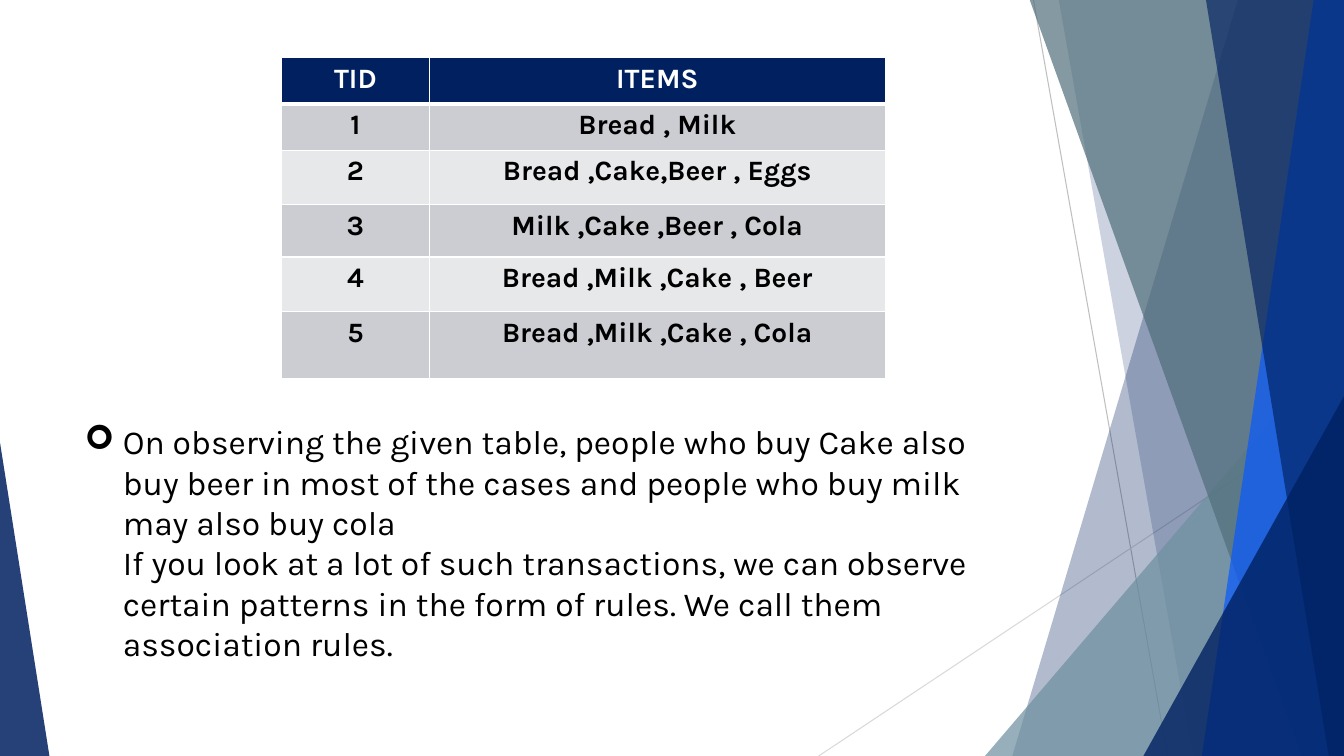
from pptx import Presentation
from pptx.dml.color import RGBColor
from pptx.enum.shapes import MSO_CONNECTOR, MSO_SHAPE
from pptx.enum.text import MSO_ANCHOR, PP_ALIGN
from pptx.oxml import parse_xml
from pptx.oxml.ns import nsdecls, qn
from pptx.util import Inches, Pt
from lxml.etree import SubElement

# Content
FONT = "Karla"
NAVY, WHITE, BLACK = "002060", "FFFFFF", "000000"
ROWS = [
    ("TID", "ITEMS"),
    ("1", "Bread , Milk"),
    ("2", "Bread ,Cake,Beer , Eggs"),
    ("3", "Milk ,Cake ,Beer , Cola"),
    ("4", "Bread ,Milk ,Cake , Beer"),
    ("5", "Bread ,Milk ,Cake , Cola"),
]
COL_WIDTHS = (1.47, 4.52)
ROW_HEIGHTS = (0.46, 0.46, 0.54, 0.52, 0.54, 0.67)
BAND_FILLS = ("E7E8EA", "CCCDD2")
NOTE = (
    "On observing the given table, people who buy Cake also buy beer in most "
    "of the cases and people who buy milk may also buy cola\v"
    "If you look at a lot of such transactions, we can observe certain patterns "
    "in the form of rules. We call them association rules."
)

# Decoration, back to front
RIGHT, TOP, BOTTOM = 13.33, -0.01, 7.5
LINES = [(10.25, 0, 11.58, BOTTOM, "BFBFBF"), (RIGHT, 4.03, 8.12, BOTTOM, "D9D9D9")]
DECOR = [  # band: top x, bottom x; triangle: left, top, width, apex
    ("band", (12.28, 10.04), NAVY, 30),
    ("band", (10.5, 11.83), NAVY, 20),
    ("triangle", (9.77, 3.33, 3.56, 1), "6E91A0", 72),
    ("band", (10.21, 12.91), "506E7A", 70),
    ("band", (13.03, 11.92), "0759FF", 70),
    ("band", (11.96, 13.18), NAVY, 65),
    ("triangle", (11.34, 3.93, 1.99, 1), NAVY, 80),
    ("triangle", (0, 4.39, 0.49, 0), NAVY, 85),
]


def rgb(value):
    return RGBColor.from_string(value)


def style_run(r, size, color, bold=False):
    r.font.name, r.font.size, r.font.bold = FONT, Pt(size), bold
    r.font.color.rgb = rgb(color)


def add_band(top_x, bottom_x):
    points = [(RIGHT, TOP), (RIGHT, BOTTOM), (bottom_x, BOTTOM)]
    builder = s.shapes.build_freeform(Inches(top_x), Inches(TOP))
    builder.add_line_segments([(Inches(x), Inches(y)) for x, y in points], close=True)
    return builder.convert_to_shape()


def add_triangle(left, top, width, apex):
    sp = s.shapes.add_shape(MSO_SHAPE.ISOSCELES_TRIANGLE, Inches(left), Inches(top),
                            Inches(width), Inches(BOTTOM - top))
    sp.adjustments[0] = apex
    return sp


def set_borders(cell, widths):
    tc_pr = cell._tc.get_or_add_tcPr()
    for i, (side, width) in enumerate(widths.items()):
        tc_pr.insert(i, parse_xml(
            f'<a:ln{side} {nsdecls("a")} w="{Pt(width)}"><a:solidFill>'
            f'<a:srgbClr val="{WHITE}"/></a:solidFill></a:ln{side}>'))


prs = Presentation()
prs.slide_width, prs.slide_height = Inches(13.33), Inches(7.5)
s = prs.slides.add_slide(prs.slide_layouts[6])

# Thin lines
for x1, y1, x2, y2, color in LINES:
    line = s.shapes.add_connector(MSO_CONNECTOR.STRAIGHT, Inches(x1), Inches(y1),
                                  Inches(x2), Inches(y2))
    line.line.color.rgb = rgb(color)
    line.line.width = Pt(0.75)
    SubElement(line._element.spPr, qn("a:effectLst"))

# Translucent bands and triangles
BUILDERS = {"band": add_band, "triangle": add_triangle}
for kind, geometry, color, opacity in DECOR:
    sp = BUILDERS[kind](*geometry)
    sp.shadow.inherit = False
    sp.line.fill.background()
    sp.fill.solid()
    sp.fill.fore_color.rgb = rgb(color)
    clr = sp._element.spPr.find(qn("a:solidFill")).find(qn("a:srgbClr"))
    SubElement(clr, qn("a:alpha")).set("val", str(opacity * 1000))

# Observation with arrow bullet
tf = s.shapes.add_textbox(Inches(0.74), Inches(4.13), Inches(9.4), Inches(2.6)).text_frame
tf.word_wrap = True
tf.vertical_anchor = MSO_ANCHOR.TOP
p = tf.paragraphs[0]
p.text = NOTE
for r in p.runs:
    style_run(r, 24, BLACK)
p_pr = p._p.get_or_add_pPr()
p_pr.set("marL", str(Inches(0.38)))
p_pr.set("indent", str(-Inches(0.38)))
SubElement(p_pr, qn("a:buFont")).set("typeface", "Wingdings")
SubElement(p_pr, qn("a:buChar")).set("char", "➢")

# Transactions table
table = s.shapes.add_table(len(ROWS), len(COL_WIDTHS), Inches(2.79), Inches(0.57),
                           Inches(sum(COL_WIDTHS)), Inches(sum(ROW_HEIGHTS))).table
for column, width in zip(table.columns, COL_WIDTHS):
    column.width = Inches(width)
for i, (row, height, texts) in enumerate(zip(table.rows, ROW_HEIGHTS, ROWS)):
    row.height = Inches(height)
    for cell, text in zip(row.cells, texts):
        cell.text = text
        p = cell.text_frame.paragraphs[0]
        p.alignment = PP_ALIGN.CENTER
        style_run(p.runs[0], 20, BLACK if i else WHITE, bold=True)
        cell.fill.solid()
        cell.fill.fore_color.rgb = rgb(BAND_FILLS[i % 2] if i else NAVY)
        set_borders(cell, {"L": 1, "R": 1, "T": 3 if i == 1 else 1, "B": 1 if i else 3})

prs.save("out.pptx")
